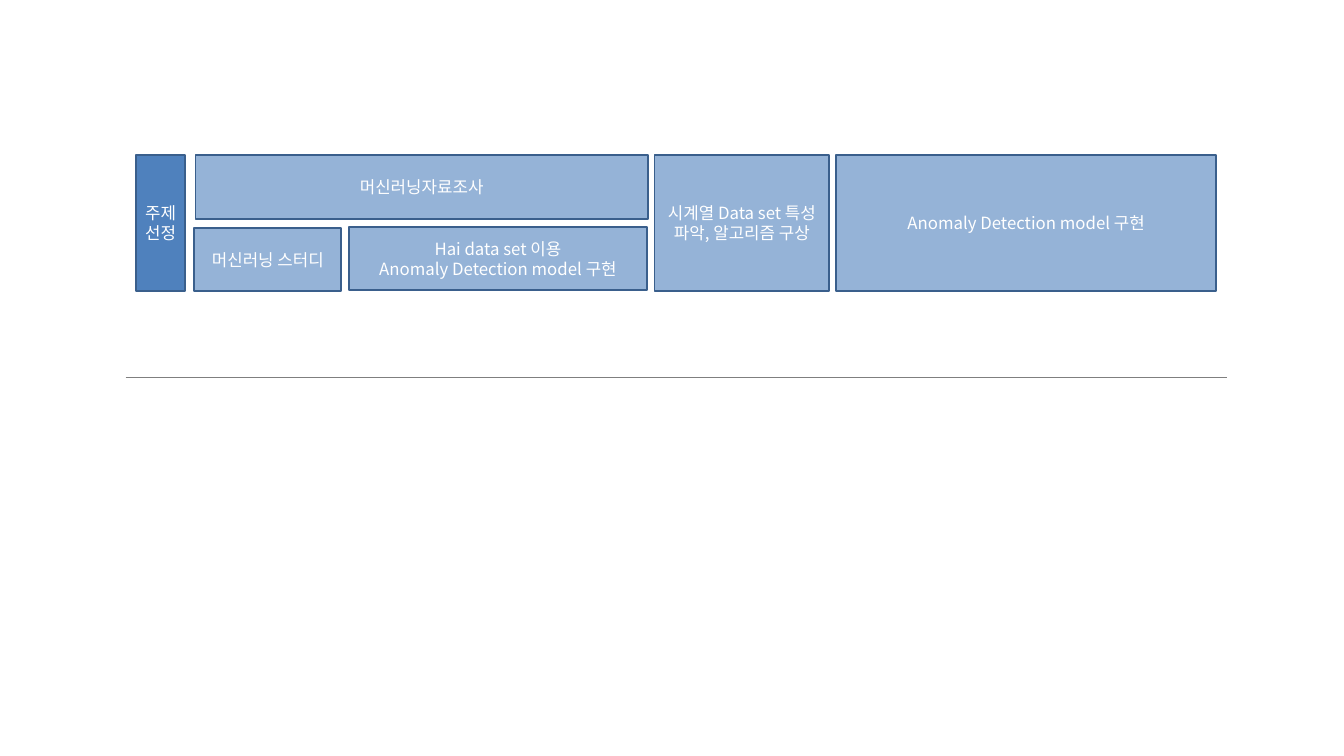
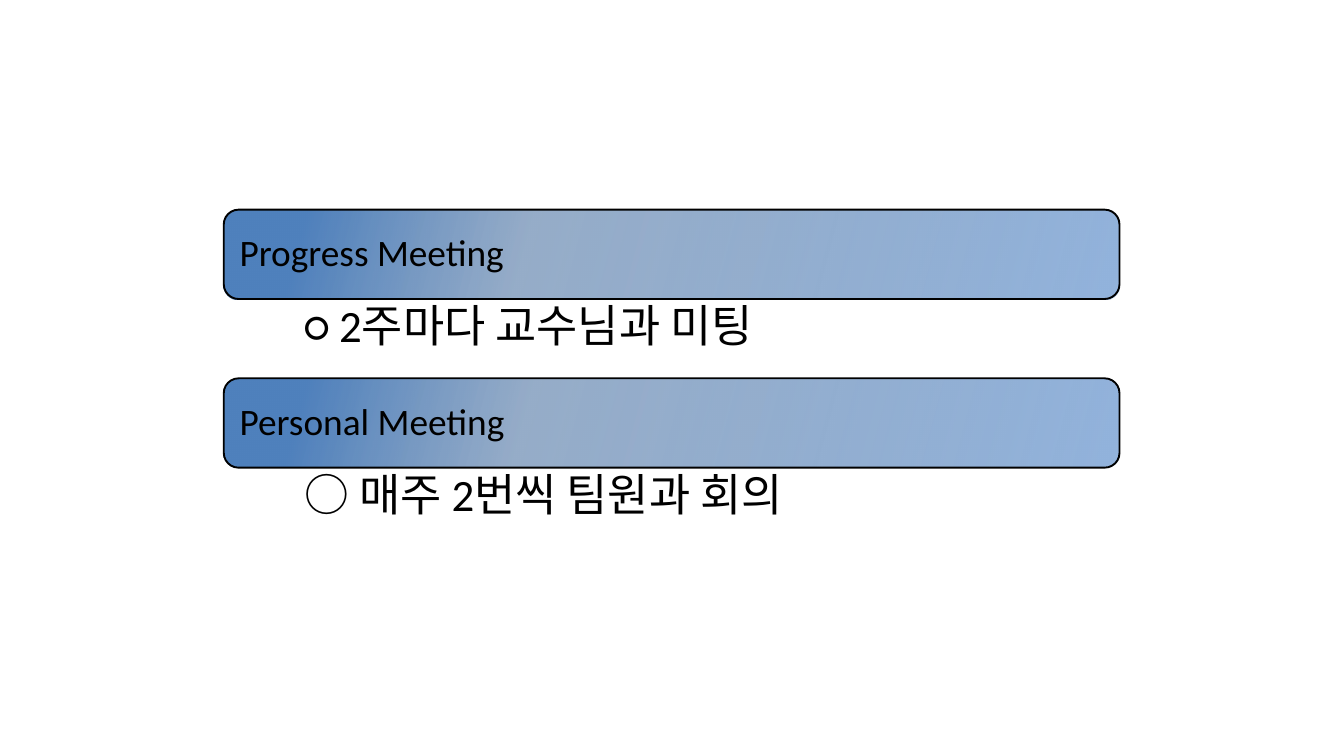
from lxml.etree import SubElement
from pptx import Presentation
from pptx.dml.color import RGBColor
from pptx.enum.shapes import MSO_CONNECTOR, MSO_SHAPE
from pptx.enum.text import MSO_ANCHOR, PP_ALIGN
from pptx.oxml.ns import qn
from pptx.util import Inches, Pt

LATIN, KOREAN = "Calibri", "Noto Sans CJK KR"
BLUE, LIGHT_BLUE, EDGE = "4F81BD", "95B3D7", "3A5F8C"
WHITE, BLACK, GRAY = "FFFFFF", "000000", "7F7F7F"
BAR_STOPS = [(9, BLUE, 100), (34, "7A97BA", 78), (100, "93B4DD", 100)]
BAR_ANGLE = 15

PHASES = [
    (0, 0, 0.74, 2.02, BLUE, "주제 선정"),
    (0.89, 0, 6.73, 0.95, LIGHT_BLUE, "머신러닝자료조사"),
    (0.87, 1.08, 2.19, 0.94, LIGHT_BLUE, "머신러닝 스터디"),
    (3.17, 1.07, 4.44, 0.94, LIGHT_BLUE,
     "Hai data set 이용\nAnomaly Detection model 구현"),
    (7.72, 0, 2.6, 2.02, LIGHT_BLUE, "시계열 Data set 특성 파악, 알고리즘 구상"),
    (10.42, 0, 5.66, 2.02, LIGHT_BLUE, "Anomaly Detection model 구현"),
]
MEETINGS = [
    ("Progress Meeting", "○ 2주마다 교수님과 미팅"),
    ("Personal Meeting", "○ 매주 2번씩 팀원과 회의"),
]


def rgb(color):
    """Turn a hex string into a colour."""
    return RGBColor.from_string(color)


def write(sp, text, size, font=LATIN, color=BLACK, align=PP_ALIGN.LEFT,
          anchor=MSO_ANCHOR.MIDDLE, insets=(0.1, 0.05, 0.1, 0.05),
          spacing=None, level=0):
    """Fill a shape with formatted text, one paragraph a line."""
    tf = sp.text_frame
    tf.word_wrap = True
    tf.vertical_anchor = anchor
    tf.margin_left, tf.margin_top, tf.margin_right, tf.margin_bottom = map(Inches, insets)
    for i, line in enumerate(text.split("\n")):
        p = tf.add_paragraph() if i else tf.paragraphs[0]
        p.alignment, p.line_spacing, p.level = align, spacing, level
        p._p.get_or_add_pPr().set("marL", "0")
        r = p.add_run()
        r.text = line
        r.font.size, r.font.name = Pt(size), font
        r.font.color.rgb = rgb(color)
        SubElement(r._r.get_or_add_rPr(), qn("a:ea"), typeface=KOREAN)


def add_box(shapes, kind, x, y, w, h, edge, fill=None):
    """Add an outlined shape without shadow."""
    sp = shapes.add_shape(kind, Inches(x), Inches(y), Inches(w), Inches(h))
    sp.shadow.inherit = False
    sp.line.color.rgb = rgb(edge)
    sp.line.width = Pt(2)
    if fill:
        sp.fill.solid()
        sp.fill.fore_color.rgb = rgb(fill)
    return sp


def shade(sp, stops, angle):
    """Give a shape a linear gradient of (position, colour, opacity) stops."""
    sp.fill.gradient()
    grad = sp._element.spPr.find(qn("a:gradFill"))
    grad.find(qn("a:lin")).set("ang", str(angle * 60000))
    gs_lst = grad.find(qn("a:gsLst"))
    for gs in list(gs_lst):
        gs_lst.remove(gs)
    for pos, color, opacity in stops:
        gs = SubElement(gs_lst, qn("a:gs"), pos=str(pos * 1000))
        clr = SubElement(gs, qn("a:srgbClr"), val=color)
        if opacity < 100:
            SubElement(clr, qn("a:alpha"), val=str(opacity * 1000))


def add_rule(s, x, y, w):
    """Draw a thin horizontal line."""
    line = s.shapes.add_connector(MSO_CONNECTOR.STRAIGHT, Inches(x), Inches(y),
                                  Inches(x + w), Inches(y))
    line.line.color.rgb = rgb(GRAY)
    line.line.width = Pt(0.75)
    SubElement(line._element.spPr, qn("a:effectLst"))


def add_phases(s, x, y):
    """Lay out the project phases from the given corner."""
    for dx, dy, w, h, fill, text in PHASES:
        sp = add_box(s.shapes, MSO_SHAPE.RECTANGLE, x + dx, y + dy, w, h, EDGE, fill)
        write(sp, text, 18, font=KOREAN, color=WHITE, align=PP_ALIGN.CENTER)


def add_meetings(s, x, y, w, bar_h=1.33, note_h=1.18):
    """Stack each meeting's bar and note in one group."""
    shapes = s.shapes.add_group_shape().shapes
    for i, (title, note) in enumerate(MEETINGS):
        top = y + i * (bar_h + note_h)
        bar = add_box(shapes, MSO_SHAPE.ROUNDED_RECTANGLE, x, top, w, bar_h, BLACK)
        shade(bar, BAR_STOPS, BAR_ANGLE)
        write(bar, title, 40, insets=(0.17,) * 4, spacing=0.9)
        tb = shapes.add_textbox(Inches(x), Inches(top + bar_h), Inches(w), Inches(note_h))
        write(tb, note, 48, anchor=MSO_ANCHOR.TOP, insets=(1.2, 0.07, 0.28, 0.07),
              spacing=0.9, level=1)


def main():
    """Build the schedule and meeting slides."""
    prs = Presentation()
    prs.slide_width, prs.slide_height = Inches(20), Inches(11.25)
    blank = prs.slide_layouts[6]
    schedule = prs.slides.add_slide(blank)
    add_phases(schedule, 2.02, 2.31)
    add_rule(schedule, 1.87, 5.62, 16.39)
    add_meetings(prs.slides.add_slide(blank), 3.33, 3.12, 13.33)
    prs.save("out.pptx")


if __name__ == "__main__":
    main()
